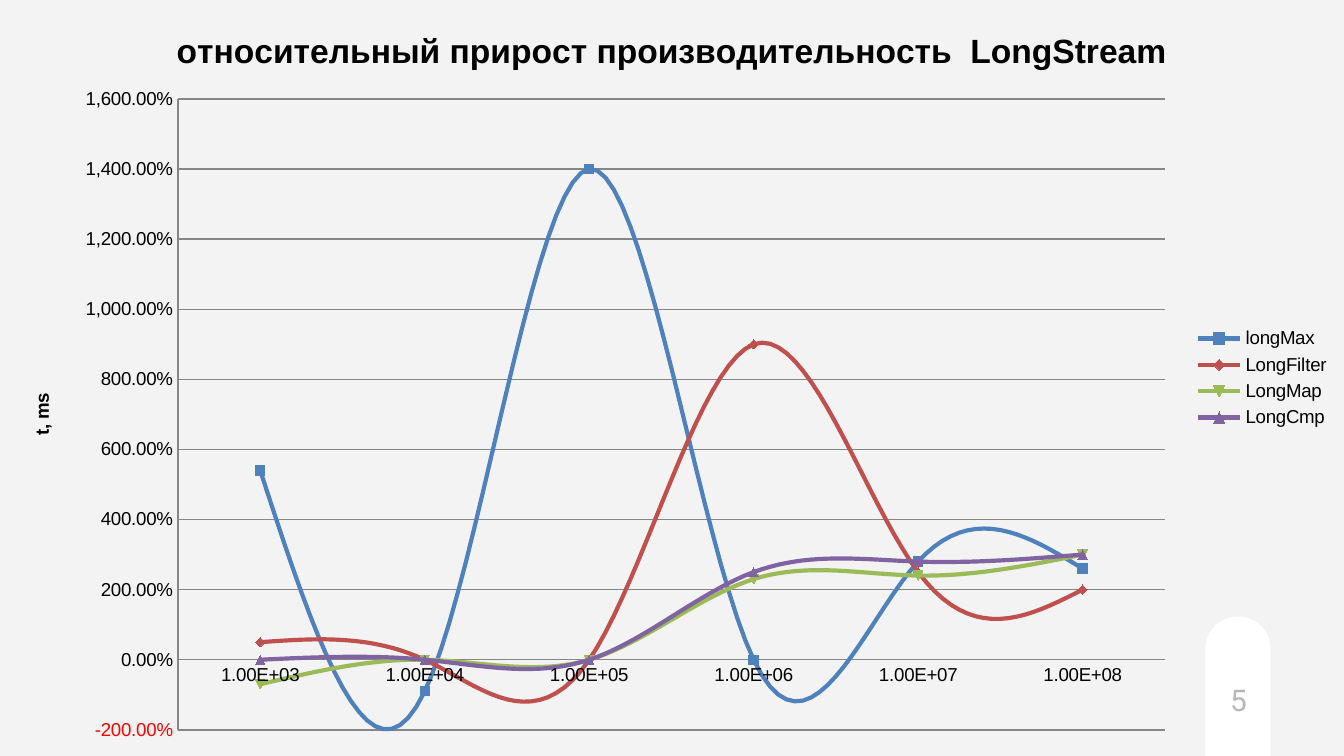
from lxml import etree
from pptx import Presentation
from pptx.chart.data import CategoryChartData
from pptx.dml.color import RGBColor
from pptx.enum.chart import XL_CHART_TYPE, XL_LEGEND_POSITION, XL_TICK_MARK
from pptx.enum.shapes import MSO_SHAPE
from pptx.enum.text import MSO_ANCHOR, PP_ALIGN
from pptx.oxml.ns import qn
from pptx.util import Pt

PX = 914400 / 134.4
WIDTH, HEIGHT = 1344, 756

BLACK = RGBColor(0x00, 0x00, 0x00)
WHITE = RGBColor(0xFF, 0xFF, 0xFF)
PALE = RGBColor(0xF3, 0xF3, 0xF3)
GRAY = RGBColor(0xB7, 0xB7, 0xB7)
GRID = RGBColor(0x86, 0x86, 0x86)
BLUE = RGBColor(0x4F, 0x81, 0xBD)
RED = RGBColor(0xC0, 0x50, 0x4D)
GREEN = RGBColor(0x9B, 0xBB, 0x59)
PURPLE = RGBColor(0x80, 0x64, 0xA2)

SIZES = [10 ** n for n in range(3, 9)]
SERIES = [
    ("longMax", BLUE, (5.4, -0.9, 14, 0, 2.8, 2.6)),
    ("LongFilter", RED, (0.5, 0, 0, 9, 2.5, 2)),
    ("LongMap", GREEN, (-0.7, 0, 0, 2.3, 2.4, 3)),
    ("LongCmp", PURPLE, (0, 0, 0, 2.5, 2.8, 3)),
]
PERCENT = r"#,##0.00%;[Red]\-#,##0.00%"
SCIENTIFIC = "0.00E+00"


def px(*lengths):
    return [round(n * PX) for n in lengths]


def add_block(s, kind, box, color):
    sp = s.shapes.add_shape(kind, *px(*box))
    sp.shadow.inherit = False
    sp.fill.solid()
    sp.fill.fore_color.rgb = color
    sp.line.fill.background()
    return sp


def add_page_number(s, text):
    tab = add_block(s, MSO_SHAPE.ROUND_2_SAME_RECTANGLE, (1206, 617, 64, 139), WHITE)
    tab.adjustments[0] = 0.5
    tab.line.color.rgb = WHITE
    tab.line.width = Pt(0.75)

    tf = s.shapes.add_textbox(*px(1215, 672, 47, 46)).text_frame
    tf.margin_left = tf.margin_right = tf.margin_top = tf.margin_bottom = 0
    tf.word_wrap = True
    tf.vertical_anchor = MSO_ANCHOR.BOTTOM
    p = tf.paragraphs[0]
    p.text = text
    p.alignment = PP_ALIGN.CENTER
    p.line_spacing = 0.9
    p.font.name = "Roboto"
    p.font.size = Pt(16)
    p.font.color.rgb = GRAY


def set_title(owner, text, size):
    """Title a chart or an axis in bold."""
    p = owner.text_frame.paragraphs[0]
    p.text = text
    p.font.name = "Arial"
    p.font.size = Pt(size)
    p.font.bold = True
    p.font.color.rgb = BLACK


def set_plot_box(chart, left, top, width, height):
    """Fix the inner plot area, given in px of the slide."""
    plot_area = chart._chartSpace.chart.plotArea
    for old in plot_area.findall(qn("c:layout")):
        plot_area.remove(old)
    layout = etree.Element(qn("c:layout"))
    plot_area.insert(0, layout)
    manual = etree.SubElement(layout, qn("c:manualLayout"))
    for tag, value in (
        ("layoutTarget", "inner"), ("xMode", "edge"), ("yMode", "edge"),
        ("x", left / WIDTH), ("y", top / HEIGHT),
        ("w", width / WIDTH), ("h", height / HEIGHT),
    ):
        etree.SubElement(manual, qn(f"c:{tag}")).set("val", str(value))


def style_axis(axis, number_format):
    axis.major_tick_mark = axis.minor_tick_mark = XL_TICK_MARK.NONE
    axis.tick_labels.number_format = number_format
    axis.tick_labels.number_format_is_linked = False
    axis.format.line.color.rgb = GRID
    axis.format.line.width = Pt(0.75)


def style_series(series, color):
    series.smooth = True
    series.format.line.color.rgb = color
    series.format.line.width = Pt(2.25)
    series.marker.format.fill.solid()
    series.marker.format.fill.fore_color.rgb = color
    series.marker.format.line.color.rgb = color


def add_growth_chart(s):
    data = CategoryChartData(number_format=PERCENT)
    data.categories = SIZES
    data.categories.number_format = SCIENTIFIC
    for name, _, values in SERIES:
        data.add_series(name, values)
    chart = s.shapes.add_chart(
        XL_CHART_TYPE.LINE_MARKERS, *px(0, 0, WIDTH, HEIGHT), data).chart
    chart.font.name = "Arial"
    chart.font.size = Pt(10)
    chart.font.color.rgb = BLACK
    set_title(chart.chart_title, "относительный прирост производительность  LongStream", 18)
    chart.has_legend = True
    chart.legend.position = XL_LEGEND_POSITION.RIGHT
    chart.legend.include_in_layout = False
    chart.plots[0].vary_by_categories = False
    set_plot_box(chart, 178, 99, 987, 631)

    style_axis(chart.category_axis, SCIENTIFIC)
    value_axis = chart.value_axis
    style_axis(value_axis, PERCENT)
    value_axis.minimum_scale, value_axis.maximum_scale = -2, 16
    value_axis.major_unit = 2
    value_axis.major_gridlines.format.line.color.rgb = GRID
    value_axis.major_gridlines.format.line.width = Pt(0.75)
    set_title(value_axis.axis_title, "t, ms", 10)

    for series, (_, color, _) in zip(chart.plots[0].series, SERIES):
        style_series(series, color)


def main():
    prs = Presentation()
    prs.slide_width, prs.slide_height = px(WIDTH, HEIGHT)
    s = prs.slides.add_slide(prs.slide_layouts[6])
    add_block(s, MSO_SHAPE.RECTANGLE, (0, 0, WIDTH, HEIGHT), PALE)
    add_page_number(s, "5")
    add_growth_chart(s)
    prs.save("out.pptx")


if __name__ == "__main__":
    main()
